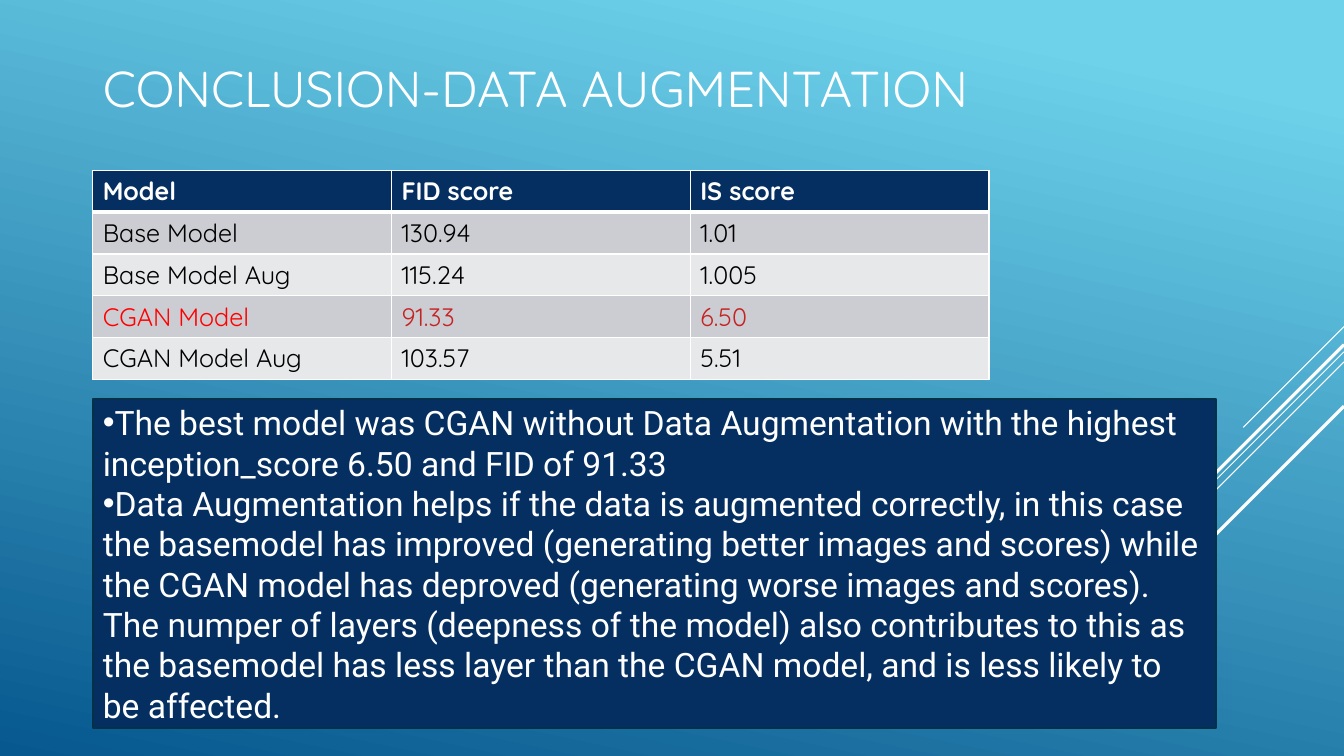
from dataclasses import dataclass

from pptx import Presentation
from pptx.dml.color import RGBColor
from pptx.enum import shapes, text
from pptx.oxml import parse_xml
from pptx.oxml.ns import nsdecls
from pptx.util import Inches, Pt


@dataclass(frozen=True)
class Theme:
    sky: str = "6ED2EB"
    ocean: str = "06588E"
    navy: str = "052F61"
    navy_edge: str = "043148"
    white: str = "FFFFFF"
    black: str = "000000"
    red: str = "FF0000"
    dark_red: str = "C62324"
    bands: tuple[str, str] = ("CCCDD2", "E7E8EA")
    heading_font: str = "Quicksand"
    body_font: str = "Roboto"
    title_size: float = 36
    body_size: float = 24
    table_size: float = 18


@dataclass(frozen=True)
class Streak:
    """A diagonal line that falls at 45 degrees from the right slide edge."""
    top: float
    reach: float
    weight: float


@dataclass(frozen=True)
class Score:
    model: str
    fid: str
    inception: str
    best: bool = False


THEME = Theme()
WIDTH, HEIGHT = 13.33, 7.5
LEFT = 0.92
STREAKS = [
    Streak(3.24, 1.0, 0.75),
    Streak(3.49, 3.26, 0.75),
    Streak(3.59, 2.07, 0.75),
    Streak(3.42, 1.91, 2.25),
    Streak(4.03, 1.39, 2.25),
]
HEADINGS = ("Model", "FID score", "IS score")
SCORES = [
    Score("Base Model", "130.94", "1.01"),
    Score("Base Model Aug", "115.24", "1.005"),
    Score("CGAN Model", "91.33", "6.50", best=True),
    Score("CGAN Model Aug", "103.57", "5.51"),
]
FINDINGS = [
    "The best model was CGAN without Data Augmentation with the highest "
    "inception_score 6.50 and FID of 91.33",
    "Data Augmentation helps if the data is augmented correctly, in this case "
    "the basemodel has improved (generating better images and scores) while "
    "the CGAN model has deproved (generating worse images and scores). "
    "The numper of layers (deepness of the model) also contributes to this as "
    "the basemodel has less layer than the CGAN model, and is less likely to "
    "be affected.",
]


def rgb(color: str) -> RGBColor:
    return RGBColor.from_string(color)


def write(frame, *lines: str, size: float, font: str, color: str,
          bold: bool = False, bullet: str = "") -> None:
    """Fill a text frame with one formatted paragraph per line."""
    for index, line in enumerate(lines):
        paragraph = frame.paragraphs[0] if index == 0 else frame.add_paragraph()
        paragraph.alignment = text.PP_ALIGN.LEFT
        paragraph.space_before = Pt(0)
        if bullet:
            properties = paragraph._p.get_or_add_pPr()
            properties.set("marL", "0")
            properties.set("indent", "0")
            properties.append(parse_xml(
                f'<a:buChar {nsdecls("a")} char="{bullet}"/>'))
        run = paragraph.add_run()
        run.text = line
        run.font.size = Pt(size)
        run.font.name = font
        run.font.bold = bold
        run.font.color.rgb = rgb(color)


def place(holder, left: float, top: float, width: float, height: float) -> None:
    holder.left, holder.top = Inches(left), Inches(top)
    holder.width, holder.height = Inches(width), Inches(height)
    holder.text_frame.word_wrap = True
    holder.text_frame.auto_size = text.MSO_AUTO_SIZE.NONE
    holder.text_frame.vertical_anchor = text.MSO_ANCHOR.MIDDLE


def paint_background(slide) -> None:
    fill = slide.background.fill
    fill.gradient()
    fill.gradient_angle = 360 - 102
    stops = ((0.1, THEME.sky), (1.0, THEME.ocean))
    for stop, (position, color) in zip(fill.gradient_stops, stops):
        stop.position = position
        stop.color.rgb = rgb(color)


def draw_streak(slide, streak: Streak) -> None:
    """Draw the streak behind the placeholders."""
    line = slide.shapes.add_connector(
        shapes.MSO_CONNECTOR.STRAIGHT, Inches(WIDTH), Inches(streak.top),
        Inches(WIDTH - streak.reach), Inches(streak.top + streak.reach))
    line.line.color.rgb = rgb(THEME.white)
    line.line.width = Pt(streak.weight)
    line._element.spPr.append(parse_xml(f'<a:effectLst {nsdecls("a")}/>'))
    line._element.getparent().insert(2, line._element)


def set_borders(cell, **weights: float) -> None:
    """Set white borders, with weights in points under the keys L, R, T and B."""
    properties = cell._tc.get_or_add_tcPr()
    for index, (side, weight) in enumerate(weights.items()):
        properties.insert(index, parse_xml(
            f'<a:ln{side} {nsdecls("a")} w="{Pt(weight)}"><a:solidFill>'
            f'<a:srgbClr val="{THEME.white}"/></a:solidFill></a:ln{side}>'))


def fill_cell(cell, value: str, fill: str, color: str, *, bold: bool = False,
              above: float = 1, below: float = 1) -> None:
    cell.fill.solid()
    cell.fill.fore_color.rgb = rgb(fill)
    set_borders(cell, L=1, R=1, T=above, B=below)
    write(cell.text_frame, value, size=THEME.table_size,
          font=THEME.heading_font, color=color, bold=bold)


def add_scores(slide) -> None:
    row_height, column_width = 0.415, 2.963
    table = slide.shapes.add_table(
        len(SCORES) + 1, len(HEADINGS), Inches(LEFT), Inches(1.69),
        Inches(column_width * len(HEADINGS)),
        Inches(row_height * (len(SCORES) + 1))).table
    for column, heading in enumerate(HEADINGS):
        fill_cell(table.cell(0, column), heading, THEME.navy, THEME.white,
                  bold=True, below=3)
    for row, score in enumerate(SCORES, start=1):
        values = (score.model, score.fid, score.inception)
        for column, value in enumerate(values):
            highlight = THEME.dark_red if column else THEME.red
            fill_cell(table.cell(row, column), value,
                      THEME.bands[(row - 1) % 2],
                      highlight if score.best else THEME.black,
                      above=3 if row == 1 else 1)


def main() -> None:
    deck = Presentation()
    deck.slide_width, deck.slide_height = Inches(WIDTH), Inches(HEIGHT)
    slide = deck.slides.add_slide(deck.slide_layouts[1])
    paint_background(slide)
    for streak in STREAKS:
        draw_streak(slide, streak)

    title = slide.shapes.title
    place(title, LEFT, 0.04, 10.74, 1.65)
    write(title.text_frame, "CONCLUSION-DATA AUGMENTATION",
          size=THEME.title_size, font=THEME.heading_font, color=THEME.white)

    findings = slide.placeholders[1]
    place(findings, LEFT, 3.96, 11.14, 3.26)
    findings.fill.solid()
    findings.fill.fore_color.rgb = rgb(THEME.navy)
    findings.line.color.rgb = rgb(THEME.navy_edge)
    findings.line.width = Pt(1.25)
    write(findings.text_frame, *FINDINGS, size=THEME.body_size,
          font=THEME.body_font, color=THEME.white, bullet="•")

    add_scores(slide)
    deck.save("out.pptx")


if __name__ == "__main__":
    main()
